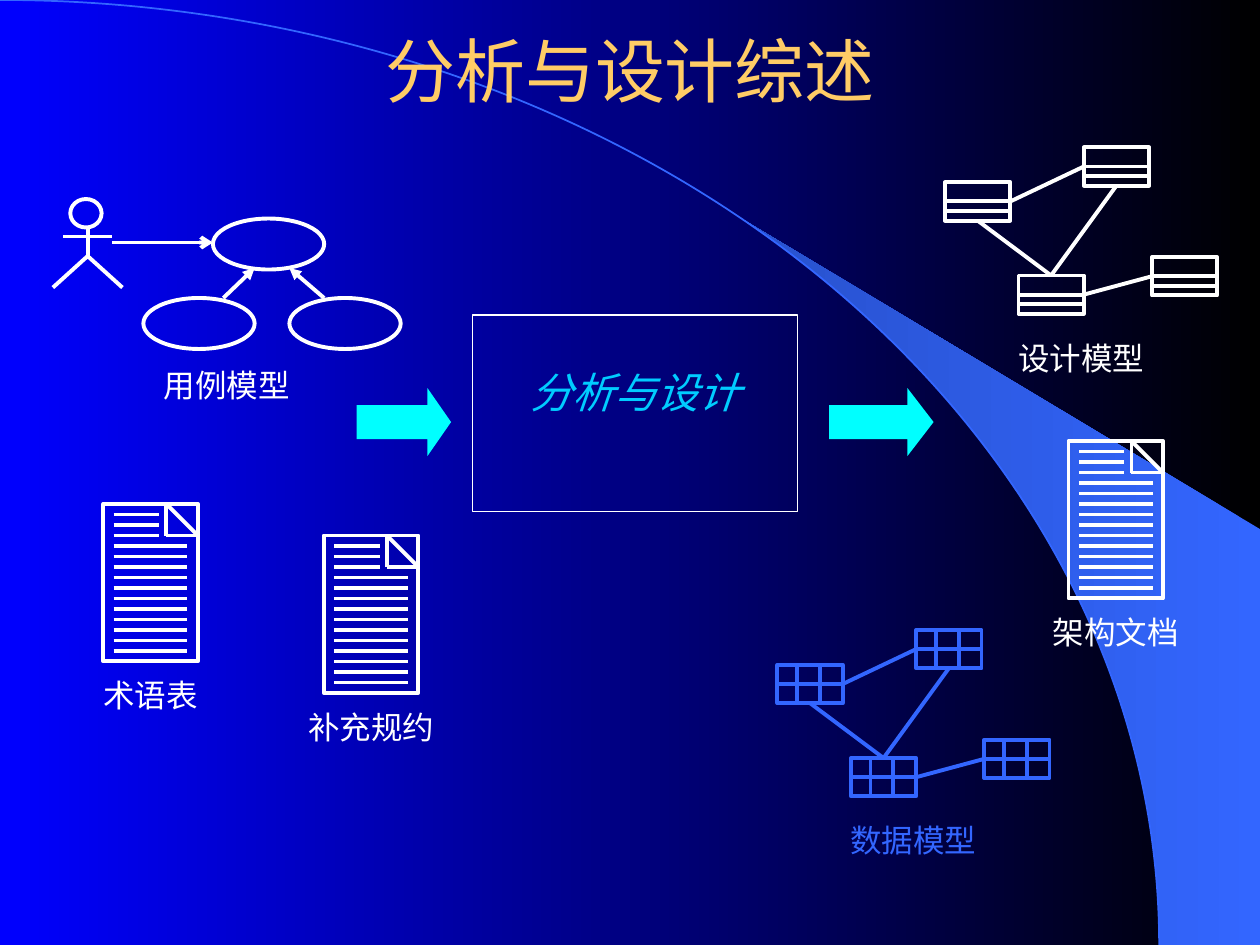
from dataclasses import dataclass
from math import acos, cos, sin

from pptx import Presentation
from pptx.dml.color import RGBColor
from pptx.enum.shapes import MSO_CONNECTOR, MSO_SHAPE
from pptx.enum.text import MSO_ANCHOR, MSO_AUTO_SIZE, PP_ALIGN
from pptx.oxml.ns import qn
from pptx.util import Inches, Pt
from lxml.etree import SubElement

WHITE = RGBColor(0xFF, 0xFF, 0xFF)
BLACK = RGBColor(0, 0, 0)
BLUE = RGBColor(0, 0, 0xFF)
ROYAL = RGBColor(0x33, 0x66, 0xFF)
DARK_ROYAL = RGBColor(0x28, 0x51, 0xCC)
CYAN = RGBColor(0, 0xFF, 0xFF)
SKY = RGBColor(0, 0xCC, 0xFF)
GOLD = RGBColor(0xFF, 0xCC, 0x66)

COLUMNS, ROWS = 10, 7.5  # grid units of one inch
STROKE = 2.25


@dataclass
class Box:
    """A rectangle in grid units."""
    left: float
    top: float
    width: float
    height: float

    def point(self, across, down):
        """Slide position of a point given as shares of this box."""
        return (Inches(self.left + across * self.width),
                Inches(self.top + down * self.height))

    def inner(self, across, down, width, height):
        """Box whose place and size are shares of this box."""
        return Box(self.left + across * self.width, self.top + down * self.height,
                   width * self.width, height * self.height)

    def frame(self):
        return [Inches(side) for side in (self.left, self.top, self.width, self.height)]


def write(frame, text, size, color, **extra):
    para = frame.paragraphs[0]
    para.alignment = PP_ALIGN.CENTER
    para.space_before = Pt(0)
    span = para.add_run()
    span.text = text
    span.font.color.rgb = color
    for name, value in {"name": "Arial", "size": Pt(size), **extra}.items():
        setattr(span.font, name, value)


def paint_gradient(fill, colors):
    fill.gradient()
    fill.gradient_angle = 180
    for stop, position, color in zip(fill.gradient_stops, (0, 1), colors):
        stop.position = position
        stop.color.rgb = color


def stroke(shape, color, width=STROKE):
    shape.line.color.rgb = color
    shape.line.width = Pt(width)


def outline(shapes, kind, box, color=WHITE, width=STROKE):
    shape = shapes.add_shape(kind, *box.frame())
    shape.shadow.inherit = False
    shape.fill.background()
    stroke(shape, color, width)
    return shape


def draw_line(shapes, start, end, color=WHITE, arrow=None):
    line = shapes.add_connector(MSO_CONNECTOR.STRAIGHT, *start, *end)
    stroke(line, color)
    properties = line.element.spPr
    if arrow:
        SubElement(properties.find(qn("a:ln")), qn("a:tailEnd"), type=arrow)
    SubElement(properties, qn("a:effectLst"))
    return line


def draw_path(shapes, points, closed):
    builder = shapes.build_freeform(*points[0])
    builder.add_line_segments(points[1:], close=closed)
    shape = builder.convert_to_shape()
    shape.shadow.inherit = False
    return shape


def add_caption(shapes, text, box, gap, color=WHITE):
    """Label centred below a box."""
    width = 0.2 + 0.25 * len(text)
    place = Box(box.left + (box.width - width) / 2, box.top + box.height + gap, width, 0.4)
    label = shapes.add_textbox(*place.frame())
    label.text_frame.word_wrap = False
    label.text_frame.auto_size = MSO_AUTO_SIZE.SHAPE_TO_FIT_TEXT
    write(label.text_frame, text, 18, color)


def add_backdrop(page, box):
    """Gradient with a quarter ellipse and the band that leaves it as a tangent."""
    paint_gradient(page.background.fill, (BLACK, BLUE))
    radius = 0.92
    first, steps = acos(0.64), 40
    angles = [first * step / steps for step in range(steps + 1)]
    curve = [box.point(radius * cos(angle), 1 - sin(angle)) for angle in reversed(angles)]
    band = draw_path(page.shapes, curve + [box.point(1, 1), box.point(1, 0.56)], True)
    paint_gradient(band.fill, (ROYAL, DARK_ROYAL))
    band.line.fill.background()
    outline(page.shapes, MSO_SHAPE.ARC, box.inner(-radius, 0, 2 * radius, 2), ROYAL, 1)


def add_title(page, box, text):
    title = page.shapes.title
    title.left, title.top, title.width, title.height = box.frame()
    settings = {"vertical_anchor": MSO_ANCHOR.MIDDLE, "word_wrap": True,
                "auto_size": MSO_AUTO_SIZE.NONE}
    for name, value in settings.items():
        setattr(title.text_frame, name, value)
    write(title.text_frame, text, 40, GOLD)
    page.shapes.element.append(title.element)  # in front of the backdrop


def add_document(page, box, text):
    shapes = page.shapes.add_group_shape().shapes
    outline(shapes, MSO_SHAPE.RECTANGLE, box)
    fold = [box.point(2 / 3, 0), box.point(1, 0.2), box.point(2 / 3, 0.2)]
    for start, end in zip(fold, fold[1:] + fold[:1]):
        draw_line(shapes, start, end)
    for row in range(1, 15):
        end = 0.59 if row <= 3 else 0.89
        draw_line(shapes, box.point(0.11, row / 15), box.point(end, row / 15))
    add_caption(shapes, text, box, 0.07)


def add_network(page, box, text, color, across=(), down=()):
    """Four linked boxes, ruled at the given shares of their width and height."""
    shapes = page.shapes.add_group_shape().shapes
    nodes = []
    for left, top in ((0, 0.21), (0.51, 0), (0.27, 0.77), (0.76, 0.66)):
        cell = box.inner(left, top, 0.24, 0.23)
        nodes.append(outline(shapes, MSO_SHAPE.RECTANGLE, cell, color))
        for share in down:
            draw_line(shapes, cell.point(0, share), cell.point(1, share), color)
        for share in across:
            draw_line(shapes, cell.point(share, 0), cell.point(share, 1), color)
    for begin, begin_side, end, end_side in ((2, 0, 0, 2), (0, 3, 1, 1),
                                             (2, 3, 3, 1), (2, 0, 1, 2)):
        corner = box.point(0, 0)
        link = draw_line(shapes, corner, corner, color)
        link.begin_connect(nodes[begin], begin_side)
        link.end_connect(nodes[end], end_side)
    add_caption(shapes, text, box, 0.15, color)


def add_use_cases(page, box, text):
    shapes = page.shapes.add_group_shape().shapes
    outline(shapes, MSO_SHAPE.OVAL, box.inner(0.05, 0, 0.09, 0.19))
    draw_line(shapes, box.point(0.1, 0.2), box.point(0.1, 0.38))
    draw_line(shapes, box.point(0.03, 0.25), box.point(0.17, 0.25))
    legs = draw_path(shapes, [box.point(0, 0.59), box.point(0.1, 0.38),
                              box.point(0.2, 0.59)], False)
    legs.fill.background()
    stroke(legs, WHITE)
    for left, top in ((0.46, 0.13), (0.26, 0.66), (0.68, 0.66)):
        outline(shapes, MSO_SHAPE.OVAL, box.inner(left, top, 0.32, 0.34))
    for start, end, arrow in (((0.17, 0.29), (0.46, 0.29), "arrow"),
                              ((0.49, 0.66), (0.58, 0.46), "triangle"),
                              ((0.78, 0.66), (0.68, 0.46), "triangle")):
        draw_line(shapes, box.point(*start), box.point(*end), arrow=arrow)
    add_caption(shapes, text, box, 0.09)


def add_process(page, box, text):
    shapes = page.shapes.add_group_shape().shapes
    outline(shapes, MSO_SHAPE.RECTANGLE, box, WHITE, 1)
    label = shapes.add_textbox(*box.inner(0.1, 0.23, 0.8, 0.32).frame())
    label.text_frame.word_wrap = True
    label.text_frame.auto_size = MSO_AUTO_SIZE.SHAPE_TO_FIT_TEXT
    write(label.text_frame, text, 24, SKY, italic=True)


def add_flow_arrow(page, box):
    """Block arrow whose head takes a quarter of its length."""
    arrow = outline(page.shapes, MSO_SHAPE.RIGHT_ARROW, box)
    arrow.adjustments[1] = box.width / 4 / box.height
    arrow.fill.solid()
    arrow.fill.fore_color.rgb = CYAN
    arrow.line.fill.background()


def main():
    deck = Presentation()
    deck.slide_width, deck.slide_height = Inches(COLUMNS), Inches(ROWS)
    page = deck.slides.add_slide(deck.slide_layouts[5])
    add_backdrop(page, Box(0, 0, COLUMNS, ROWS))
    add_document(page, Box(2.57, 4.25, 0.75, 1.25), "补充规约")
    add_use_cases(page, Box(0.42, 1.58, 2.76, 1.19), "用例模型")
    add_network(page, Box(7.5, 1.17, 2.16, 1.32), "设计模型", WHITE, down=(0.5, 0.75))
    add_network(page, Box(6.17, 5, 2.16, 1.32), "数据模型", ROYAL, (0.3, 0.65), (0.5,))
    add_document(page, Box(8.48, 3.5, 0.75, 1.25), "架构文档")
    add_process(page, Box(3.75, 2.5, 2.58, 1.56), "分析与设计")
    add_flow_arrow(page, Box(2.83, 3.08, 0.75, 0.54))
    add_flow_arrow(page, Box(6.58, 3.08, 0.83, 0.54))
    add_title(page, Box(0.75, 0.28, 8.5, 0.55), "分析与设计综述")
    add_document(page, Box(0.82, 4, 0.75, 1.25), "术语表")
    deck.save("out.pptx")


if __name__ == "__main__":
    main()
